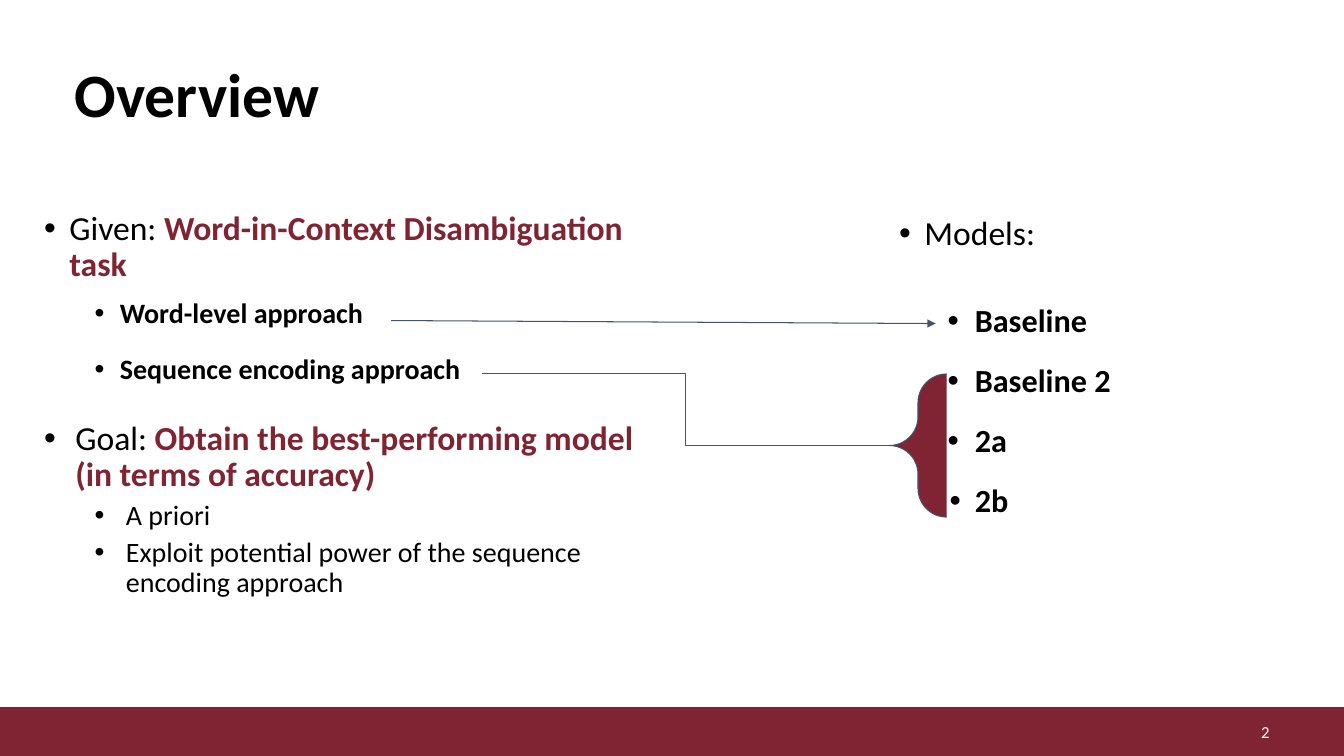
from pptx import Presentation
from pptx.dml.color import RGBColor
from pptx.enum.shapes import MSO_CONNECTOR, MSO_SHAPE
from pptx.enum.text import MSO_ANCHOR, PP_ALIGN
from pptx.oxml.ns import qn
from pptx.util import Inches, Pt
from lxml import etree

STRAIGHT, ELBOW = MSO_CONNECTOR.STRAIGHT, MSO_CONNECTOR.ELBOW
RECTANGLE, LEFT_BRACE = MSO_SHAPE.RECTANGLE, MSO_SHAPE.LEFT_BRACE
MIDDLE, TOP = MSO_ANCHOR.MIDDLE, MSO_ANCHOR.TOP
RIGHT = PP_ALIGN.RIGHT

THEME = {
    "font": "Calibri",
    "black": RGBColor(0x00, 0x00, 0x00),
    "white": RGBColor(0xFF, 0xFF, 0xFF),
    "maroon": RGBColor(0x80, 0x24, 0x33),
    "slate": RGBColor(0x44, 0x54, 0x6A),
    "title": 44,
    "topic": 24,
    "model": 23,
    "detail": 20,
    "number": 12,
}


def add_text_frame(slide, left, top, width, height, anchor, inset):
    box = slide.shapes.add_textbox(Inches(left), Inches(top), Inches(width), Inches(height))
    frame = box.text_frame
    frame.word_wrap = True
    frame.vertical_anchor = anchor
    frame.margin_top = frame.margin_bottom = Inches(inset)
    return frame


def add_run(paragraph, text, size, color, bold=False):
    run = paragraph.add_run()
    run.text = text
    run.font.name = THEME["font"]
    run.font.size = Pt(THEME[size])
    run.font.color.rgb = THEME[color]
    run.font.bold = bold


presentation = Presentation()
presentation.slide_width = Inches(13.33)
presentation.slide_height = Inches(7.5)
slide = presentation.slides.add_slide(presentation.slide_layouts[6])

footer = slide.shapes.add_shape(RECTANGLE, Inches(-0.03), Inches(7.02), Inches(13.42), Inches(0.48))
footer.shadow.inherit = False
footer.fill.solid()
footer.fill.fore_color.rgb = THEME["maroon"]
footer.line.color.rgb = THEME["maroon"]
footer.line.width = Pt(1)

title = add_text_frame(slide, 0.64, 0.53, 12.05, 0.87, MIDDLE, 0.05).paragraphs[0]
title.line_spacing = 0.9
add_run(title, "Overview", "title", "black", True)

number = add_text_frame(slide, 9.69, 7.06, 3, 0.4, MIDDLE, 0.05).paragraphs[0]
number.alignment = RIGHT
add_run(number, "2", "number", "white")

goals_frame = add_text_frame(slide, 0.34, 2.05, 6.34, 5.45, TOP, 0.05)
models_frame = add_text_frame(slide, 8.82, 2.05, 2.79, 3.82, TOP, 0.1)

goals = [
    (0.25, 0.25, 0, [("Given: ", "topic", "black", False),
                     ("Word-in-Context Disambiguation task", "topic", "maroon", True)]),
    (0.75, 0.25, 11, [("Word-level approach", "detail", "black", True)]),
    (0.75, 0.25, 18, [("Sequence encoding approach", "detail", "black", True)]),
    (0.31, 0.31, 26, [("Goal: ", "topic", "black", False),
                      ("Obtain the best-performing model (in terms of accuracy)", "topic", "maroon", True)]),
    (0.81, 0.31, 5, [("A priori", "detail", "black", False)]),
    (0.81, 0.31, 5, [("Exploit potential power of the sequence encoding approach", "detail", "black", False)]),
]
models = [
    (0.25, 0.25, 0, [("Models:", "topic", "black", False)]),
    (0.75, 0.27, 37, [("Baseline", "model", "black", True)]),
    (0.75, 0.27, 18, [("Baseline 2", "model", "black", True)]),
    (0.75, 0.27, 18, [("2a", "model", "black", True)]),
    (0.75, 0.25, 18, [("2b", "model", "black", True)]),
]

for frame, items in ((goals_frame, goals), (models_frame, models)):
    for index, (margin, hanging, space_before, runs) in enumerate(items):
        paragraph = frame.add_paragraph() if index else frame.paragraphs[0]
        paragraph.line_spacing = 0.9
        paragraph.space_before = Pt(space_before)
        properties = paragraph._p.get_or_add_pPr()
        properties.set("marL", str(Inches(margin)))
        properties.set("indent", str(-Inches(hanging)))
        bullet_color = etree.SubElement(properties, qn("a:buClr"))
        etree.SubElement(bullet_color, qn("a:srgbClr"), val=str(THEME["black"]))
        etree.SubElement(properties, qn("a:buFont"), typeface="Arial")
        etree.SubElement(properties, qn("a:buChar"), char="•")
        for run in runs:
            add_run(paragraph, *run)

brace = slide.shapes.add_shape(LEFT_BRACE, Inches(8.82), Inches(3.71), Inches(0.57), Inches(1.42))
brace.adjustments[0] = 0.5
brace.adjustments[1] = 0.5
brace.shadow.inherit = False
brace.fill.solid()
brace.fill.fore_color.rgb = THEME["maroon"]
brace.line.color.rgb = THEME["slate"]
brace.line.width = Pt(0.75)

links = [
    (STRAIGHT, 3.88, 3.18, 9.28, 3.21, True),
    (ELBOW, 4.78, 3.71, 8.82, 4.42, False),
]
for kind, start_x, start_y, end_x, end_y, has_arrow in links:
    link = slide.shapes.add_connector(kind, Inches(start_x), Inches(start_y), Inches(end_x), Inches(end_y))
    link.line.color.rgb = THEME["slate"]
    link.line.width = Pt(0.75)
    if has_arrow:
        etree.SubElement(link.line._get_or_add_ln(), qn("a:tailEnd"), type="triangle")
    etree.SubElement(link._element.spPr, qn("a:effectLst"))

presentation.save("out.pptx")
